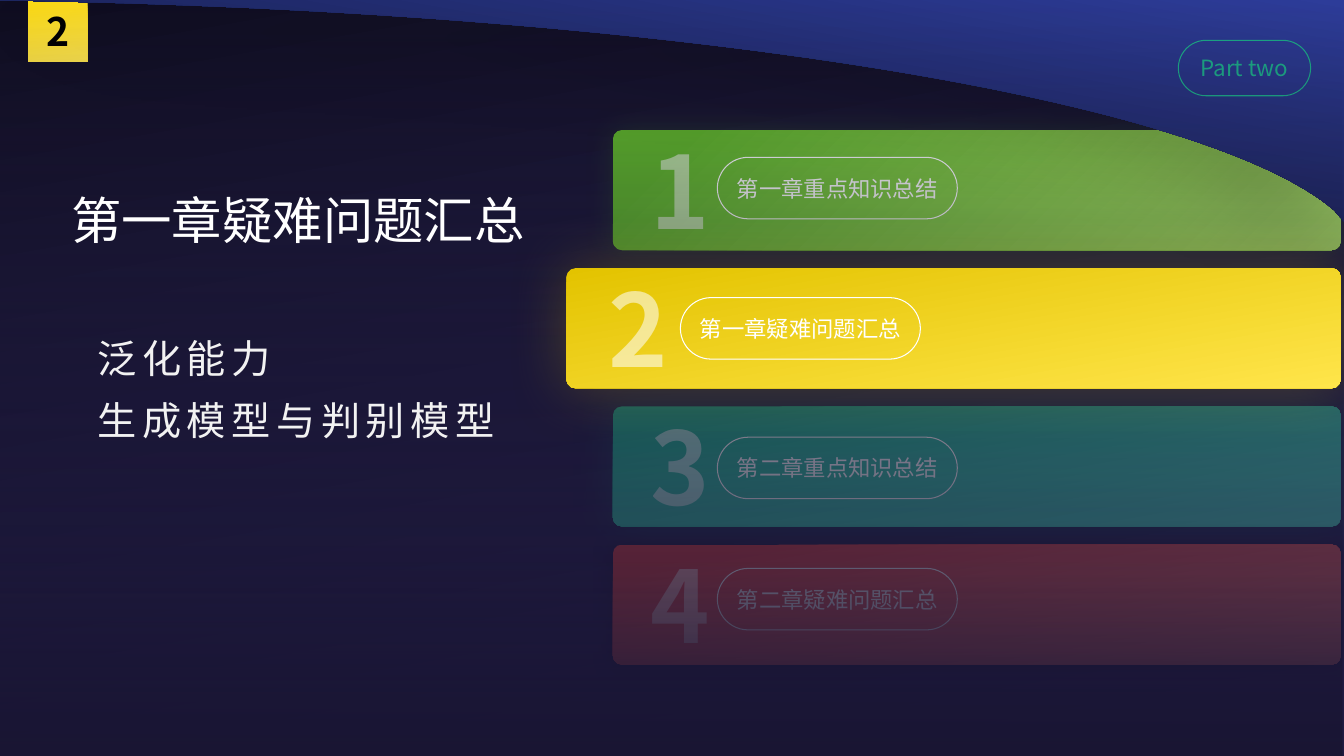
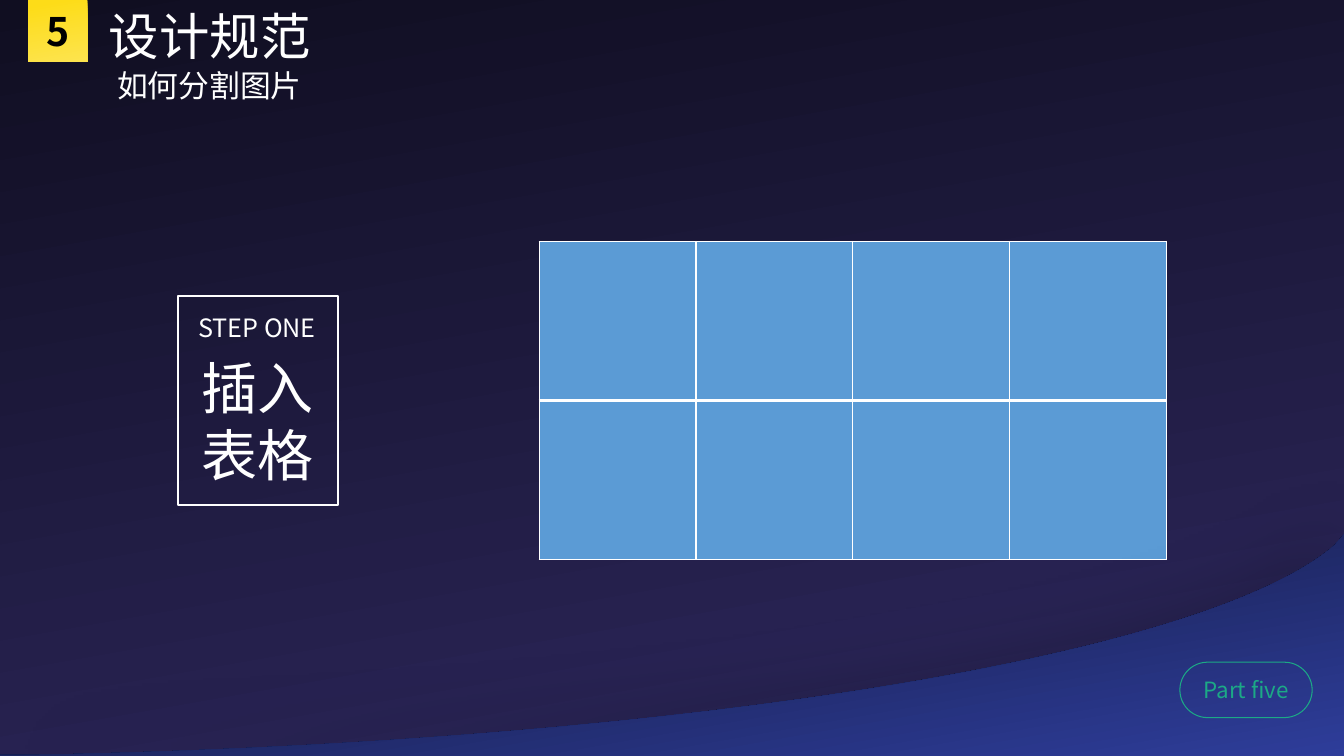
from pptx import Presentation
from pptx.dml.color import RGBColor
from pptx.enum.shapes import MSO_SHAPE
from pptx.enum.text import MSO_ANCHOR, PP_ALIGN
from pptx.oxml.ns import qn
from pptx.util import Pt
from lxml import etree

RECT, ROUND = MSO_SHAPE.RECTANGLE, MSO_SHAPE.ROUNDED_RECTANGLE
CENTER, JUSTIFY = PP_ALIGN.CENTER, PP_ALIGN.JUSTIFY
MIDDLE = MSO_ANCHOR.MIDDLE
WIDTH, HEIGHT = 960, 540

# Theme: gradients are (stops, clockwise angle); a stop is (position, colour[, opacity])
THEME = {
    "font": "Noto Sans CJK SC",
    "white": "FFFFFF",
    "green": "1CA986",
    "cell": "5B9BD5",
    "backdrop": ([(0, "100E21"), (100, "2E285F")], 80),
    "badge": ([(9, "FDDC18"), (100, "FDE44E")], 80),
    "part": ([(0, "1CA986"), (100, "50D4C2")], 90),
    "wave": [(0, "0E122C"), (100, "2E3D9A")],
    "veil": ([(0, "191533", 0), (50, "191533", 50),
              (75, "191533", 69), (100, "191533", 100)], 90),
}
# Text styles: font attributes, then colour and paragraph options
TEXT = {
    "title": {"font": {"size": Pt(36)}},
    "subtitle": {"font": {"size": Pt(22)}},
    "topic": {"font": {"size": Pt(28)}, "color": "F2F2F2", "align": JUSTIFY, "spc": 4},
    "badge": {"font": {"size": Pt(28), "bold": True}, "color": "000000"},
    "number": {"font": {"size": Pt(72), "bold": True}, "opacity": 54},
    "pill": {"font": {"size": Pt(16)}, "inset": 0},
    "part": {"font": {"size": Pt(16)}, "gradient": THEME["part"]},
    "step": {"font": {"size": Pt(18)}},
    "action": {"font": {"size": Pt(40)}, "leading": 48},
}

# Content of the agenda slide; shadows are (colour, opacity, blur, distance, angle)
AGENDA = {
    "badge": "2", "part": "Part two", "title": "第一章疑难问题汇总",
    "topics": ["泛化能力", "生成模型与判别模型"],
    "active": 1,
    "bars": [
        {"label": "第一章重点知识总结", "pill_dy": 19.5,
         "fill": ([(9, "60B929"), (100, "B7F06A")], 45), "shadow": ("519C23", 22, 22, 0, 0)},
        {"label": "第一章疑难问题汇总", "pill_dy": 21,
         "fill": ([(0, "E3C300"), (100, "FFE54A")], 80), "shadow": ("CFB207", 25, 44, 0, 0)},
        {"label": "第二章重点知识总结", "pill_dy": 22,
         "fill": ([(9, "1CA986"), (100, "50D4C2")], 80), "shadow": ("1CA986", 22, 32, 0, 0)},
        {"label": "第二章疑难问题汇总", "pill_dy": 17,
         "fill": ([(9, "D74141"), (100, "F2817E")], 80), "shadow": ("000000", 25, 16, 0, 0)},
    ],
}
# Content of the step slide
STEP = {
    "badge": "5", "part": "Part five", "title": "设计规范", "subtitle": "如何分割图片",
    "step": "STEP ONE", "action": "插入表格",
    "rows": 2, "cols": 4,
}

# Wave along the top edge: straight outline, then one cubic curve
WAVE_EDGE = [(960, 158.4), (960, 0), (0, 0), (0, 0.7)]
WAVE_CURVE = [(20.9, 0.7), (485.3, 9.4), (861.1, 70.6), (953.3, 150.5)]


def rgb(color):
    return RGBColor.from_string(color)


def node(parent, tag, **attrs):
    return etree.SubElement(parent, qn(tag), {k: str(v) for k, v in attrs.items()})


def color_node(parent, color, opacity=100):
    clr = node(parent, "a:srgbClr", val=color)
    if opacity < 100:
        node(clr, "a:alpha", val=opacity * 1000)


def paint_gradient(fill, holder, gradient):
    stops, angle = gradient
    fill.gradient()
    grad = holder.find(qn("a:gradFill"))
    for child in list(grad):
        grad.remove(child)
    gs_list = node(grad, "a:gsLst")
    for position, *color in stops:
        color_node(node(gs_list, "a:gs", pos=position * 1000), *color)
    node(grad, "a:lin", ang=angle * 60000, scaled=0)


def finish(sp, gradient=None, line=None, shadow=None):
    """Set fill, outline and shadow of a shape."""
    sp.shadow.inherit = False
    spPr = sp._element.spPr
    if gradient:
        paint_gradient(sp.fill, spPr, gradient)
    else:
        sp.fill.background()
    if line:
        sp.line.color.rgb = rgb(line[0])
        sp.line.width = Pt(line[1])
    else:
        sp.line.fill.background()
    if shadow:
        color, opacity, blur, dist, angle = shadow
        outer = node(spPr.find(qn("a:effectLst")), "a:outerShdw", blurRad=Pt(blur),
                     dist=Pt(dist), dir=angle * 60000, algn="ctr", rotWithShape=0)
        color_node(outer, color, opacity)


def add_box(s, at, kind=RECT, adj=None, **look):
    sp = s.shapes.add_shape(kind, *map(Pt, at))
    if adj is not None:
        sp.adjustments[0] = adj
    finish(sp, **look)
    return sp


def write(sp, text, style):
    fmt = TEXT[style]
    tf = sp.text_frame
    inset = Pt(fmt.get("inset", 7.2))
    frame = {"word_wrap": True, "vertical_anchor": MIDDLE, "margin_left": inset,
             "margin_right": inset, "margin_top": 0, "margin_bottom": 0}
    for name, value in frame.items():
        setattr(tf, name, value)
    p = tf.paragraphs[0]
    p.alignment = fmt.get("align", CENTER)
    if "leading" in fmt:
        p.line_spacing = Pt(fmt["leading"])
    r = p.add_run()
    r.text = text
    for name, value in {"name": THEME["font"], **fmt["font"]}.items():
        setattr(r.font, name, value)
    rPr = r._r.get_or_add_rPr()
    node(rPr, "a:ea", typeface=THEME["font"])
    if "spc" in fmt:
        rPr.set("spc", str(fmt["spc"] * 100))
    if "gradient" in fmt:
        paint_gradient(r.font.fill, rPr, fmt["gradient"])
        return
    r.font.color.rgb = rgb(fmt.get("color", THEME["white"]))
    if "opacity" in fmt:
        node(rPr.find(qn("a:solidFill"))[0], "a:alpha", val=fmt["opacity"] * 1000)


def add_text(s, at, text, style):
    write(s.shapes.add_textbox(*map(Pt, at)), text, style)


# Parts both slides share
def add_badge(s, text):
    write(add_box(s, (20, 0, 42.5, 44), gradient=THEME["badge"]), text, "badge")


def add_part(s, left, top, text):
    at = (left, top, 94.5, 39.6)
    sp = add_box(s, at, ROUND, 0.5, line=(THEME["green"], 0.75))
    write(sp, text, "part")


def add_wave(s, shadow, bottom=False):
    p0, p1, p2, p3 = WAVE_CURVE
    steps = 60
    points = list(WAVE_EDGE)
    for i in range(steps + 1):
        t = i / steps
        u = 1 - t
        points.append(tuple(u**3 * a + 3 * u * u * t * b + 3 * u * t * t * c + t**3 * d
                            for a, b, c, d in zip(p0, p1, p2, p3)))
    if bottom:
        points = [(x, HEIGHT - y) for x, y in points]
    points = [(Pt(x), Pt(y)) for x, y in points]
    fb = s.shapes.build_freeform(*points[0])
    fb.add_line_segments(points[1:], close=True)
    finish(fb.convert_to_shape(), (THEME["wave"], 80 if bottom else 280), shadow=shadow)


# Agenda bars
BAR_TOP, BAR_STEP, BAR_HEIGHT, BAR_RIGHT = 92.9, 98.7, 85.7, 957.6


def bar_place(index, active):
    return (404.6 if active else 437.8), BAR_TOP + index * BAR_STEP


def add_bar(s, index, bar, active=False):
    left, top = bar_place(index, active)
    add_box(s, (left, top, BAR_RIGHT - left, BAR_HEIGHT), ROUND, 0.074,
            gradient=bar["fill"], shadow=bar["shadow"])
    add_text(s, (left + 5, top - 5, 92 if active else 86.4, 94.3), str(index + 1), "number")


def add_pill(s, index, bar, active=False):
    left, top = bar_place(index, active)
    at = (left + (81.4 if active else 74.6), top + bar["pill_dy"], 171.4, 43.9)
    write(add_box(s, at, ROUND, 0.5, line=(THEME["white"], 0.75)), bar["label"], "pill")


def build_agenda(s, data):
    active = data["active"]
    others = [(i, bar) for i, bar in enumerate(data["bars"]) if i != active]
    for i, bar in others:
        add_bar(s, i, bar)
    add_badge(s, data["badge"])
    add_wave(s, ("000000", 21, 60, 28, 135))
    add_part(s, 841.7, 28.8, data["part"])
    for i, bar in others:
        add_pill(s, i, bar)
    # Veil dims everything but the heading and the active bar
    add_box(s, (0, 0, WIDTH, HEIGHT), gradient=THEME["veil"])
    add_text(s, (41.8, 131, 342, 51), data["title"], "title")
    for i, topic in enumerate(data["topics"]):
        add_text(s, (62.6, 235.4 + i * 44, 321, 41), topic, "topic")
    for add in (add_bar, add_pill):
        add(s, active, data["bars"][active], True)


# Step table
def set_borders(cell, widths):
    tcPr = cell._tc.get_or_add_tcPr()
    for side in "LRTB":
        ln = node(tcPr, "a:ln" + side, w=Pt(widths.get(side, 1)))
        color_node(node(ln, "a:solidFill"), THEME["white"])


def add_grid(s, rows, cols):
    col_width, row_height = 112, 113.6
    tbl = s.shapes.add_table(rows, cols, Pt(385.2), Pt(172.5),
                             Pt(cols * col_width), Pt(rows * row_height)).table
    tbl.first_row = tbl.horz_banding = False
    for row in range(rows):
        for col in range(cols):
            cell = tbl.cell(row, col)
            set_borders(cell, {"B": 3} if row == 0 else {"T": 3})
            cell.fill.solid()
            cell.fill.fore_color.rgb = rgb(THEME["cell"])


def build_step(s, data):
    add_text(s, (47.5, 0, 204.5, 51), data["title"], "title")
    add_text(s, (69, 44, 161.3, 34), data["subtitle"], "subtitle")
    add_badge(s, data["badge"])
    add_box(s, (127.4, 211.6, 113.8, 149), line=(THEME["white"], 1.5))
    add_text(s, (131, 248.4, 105.8, 104.4), data["action"], "action")
    add_text(s, (120.2, 219.6, 126.7, 28.8), data["step"], "step")
    add_grid(s, data["rows"], data["cols"])
    add_wave(s, ("000000", 20, 50, 8, 225), bottom=True)
    add_part(s, 842.8, 473, data["part"])


def main():
    prs = Presentation()
    prs.slide_width, prs.slide_height = Pt(WIDTH), Pt(HEIGHT)
    master = prs.slide_master
    fill = master.background.fill
    paint_gradient(fill, master._element.find(".//" + qn("p:bgPr")), THEME["backdrop"])
    for build, data in ((build_agenda, AGENDA), (build_step, STEP)):
        build(prs.slides.add_slide(prs.slide_layouts[6]), data)
    prs.save("out.pptx")


if __name__ == "__main__":
    main()
